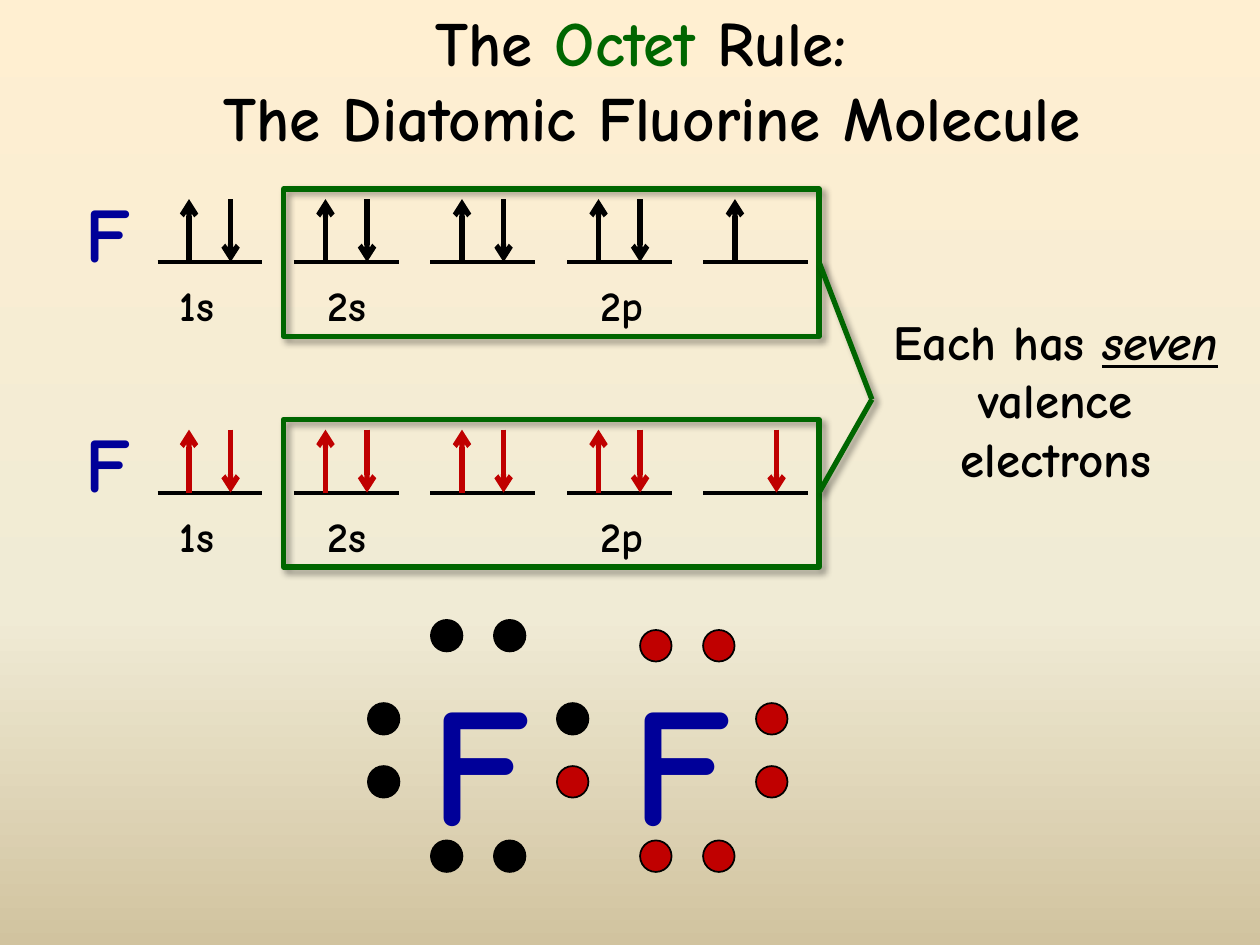
import lxml.etree
import pptx
import pptx.dml.color
import pptx.enum.shapes
import pptx.enum.text
import pptx.oxml
import pptx.oxml.ns
import pptx.util

Inches = pptx.util.Inches
SHAPES = pptx.enum.shapes.MSO_SHAPE
FONT = "Comic Neue"
COLORS = {
    "black": "000000", "red": "C00000", "green": "006600", "blue": "000099",
    "sky": "FFEFD1", "middle": "F0EBD5", "ground": "D1C39F",
}
ORBITAL_LEFT = 1.25
ORBITAL_PITCH = 13 / 12
ORBITAL_WIDTH = 0.83
SPIN_UP, SPIN_DOWN = 0.25, 0.58
BASELINE = 0.58
DOT_SIZE = 0.25
BLACK_DOTS = [(3.42, 4.92), (3.92, 4.92), (2.92, 5.58), (2.92, 6.08),
              (4.42, 5.58), (3.42, 6.67), (3.92, 6.67)]
RED_DOTS = [(5.08, 5), (5.58, 5), (6, 5.58), (6, 6.08),
            (4.42, 6.08), (5.08, 6.67), (5.58, 6.67)]


def rgb(name):
    """Return the named colour."""
    return pptx.dml.color.RGBColor.from_string(COLORS[name])


def set_background(slide):
    """Fill the slide with a vertical gradient of three stops."""
    fill = slide.background.fill
    fill.gradient()
    fill.gradient_angle = 270
    stops = slide.background._cSld.find(".//" + pptx.oxml.ns.qn("a:gsLst"))
    for stop in list(stops):
        stops.remove(stop)
    for position, name in ((0, "sky"), (65, "middle"), (100, "ground")):
        stop = lxml.etree.SubElement(
            stops, pptx.oxml.ns.qn("a:gs"), pos=str(position * 1000))
        lxml.etree.SubElement(
            stop, pptx.oxml.ns.qn("a:srgbClr"), val=COLORS[name])


def set_shadow(shape, visible):
    """Give a shape a soft shadow, or an empty effect list."""
    properties = shape._element.spPr
    effects = lxml.etree.SubElement(properties, pptx.oxml.ns.qn("a:effectLst"))
    if visible:
        effects.append(pptx.oxml.parse_xml(
            f'<a:outerShdw {pptx.oxml.ns.nsdecls("a")} blurRad="50800" '
            'dist="38100" dir="2700000" algn="tl" rotWithShape="0">'
            f'<a:srgbClr val="{COLORS["black"]}"><a:alpha val="40000"/>'
            '</a:srgbClr></a:outerShdw>'))


def add_text(slide, box, pieces, size, color="black", wrap=False, center=False):
    """Add bold text from (text, format) pieces; a newline breaks the line."""
    shape = slide.shapes.add_textbox(*(Inches(value) for value in box))
    frame = shape.text_frame
    frame.word_wrap = wrap
    paragraph = frame.paragraphs[0]
    if center:
        paragraph.alignment = pptx.enum.text.PP_ALIGN.CENTER
    for text, style in pieces:
        if text == "\n":
            paragraph.add_line_break()
            continue
        run = paragraph.add_run()
        run.text = text
        font = run.font
        font.name, font.size, font.bold = FONT, pptx.util.Pt(size), True
        font.color.rgb = rgb(style.get("color", color))
        if style.get("stress"):
            font.italic = font.underline = True
    return shape


def add_line(slide, start, end, color, width, arrow=False, shadow=False):
    """Add a straight line, with an arrowhead at its end if asked."""
    line = slide.shapes.add_connector(
        pptx.enum.shapes.MSO_CONNECTOR.STRAIGHT,
        *(Inches(value) for value in (*start, *end)))
    line.line.color.rgb = rgb(color)
    line.line.width = pptx.util.Pt(width)
    if arrow:
        lxml.etree.SubElement(
            line.line._get_or_add_ln(), pptx.oxml.ns.qn("a:tailEnd"), type="arrow")
    set_shadow(line, shadow)


def add_frame(slide, top):
    """Add the green frame around the valence orbitals."""
    frame = slide.shapes.add_shape(
        SHAPES.RECTANGLE, *(Inches(value) for value in (2.25, top, 4.25, 1.17)))
    frame.fill.background()
    frame.line.color.rgb = rgb("green")
    frame.line.width = pptx.util.Pt(3)
    set_shadow(frame, True)


def add_dot(slide, left, top, color):
    """Add one electron dot."""
    dot = slide.shapes.add_shape(
        SHAPES.OVAL, Inches(left), Inches(top), Inches(DOT_SIZE), Inches(DOT_SIZE))
    dot.shadow.inherit = False
    dot.fill.solid()
    dot.fill.fore_color.rgb = rgb(color)
    dot.line.color.rgb = rgb("black")
    dot.line.width = pptx.util.Pt(1)


def add_configuration(slide, top, color, last_spin):
    """Add one atom's orbitals, with a single electron in the last one."""
    base = top + BASELINE
    add_text(slide, (0.58, top - 0.08, 0.58, 0.84), [("F", {})], 44, "blue")
    for index in range(5):
        left = ORBITAL_LEFT + index * ORBITAL_PITCH
        add_line(slide, (left, base), (left + ORBITAL_WIDTH, base), "black", 2.25)
        spins = (SPIN_UP, SPIN_DOWN) if index < 4 else (last_spin,)
        for spin in spins:
            low, high = (left + spin, base), (left + spin, base - 0.5)
            start, end = (low, high) if spin == SPIN_UP else (high, low)
            add_line(slide, start, end, color, 3, arrow=True)
    for left, name in ((1.33, "1s"), (2.5, "2s"), (4.67, "2p")):
        add_text(slide, (left, top + 0.67, 0.58, 0.5), [(name, {})], 24)
    add_frame(slide, top)
    add_line(slide, (6.5, base), (6.92, 3.17), "green", 3, shadow=True)


def main():
    """Build the slide and save it."""
    presentation = pptx.Presentation()
    presentation.slide_width = Inches(10)
    presentation.slide_height = Inches(7.5)
    slide = presentation.slides.add_slide(presentation.slide_layouts[6])
    set_background(slide)

    title = add_text(
        slide, (0.17, 0, 9.83, 1.25),
        [("The ", {}), ("Octet ", {"color": "green"}), ("Rule:", {}),
         ("\n", {}), (" The Diatomic Fluorine Molecule", {})],
        36, wrap=True, center=True)
    title.text_frame.vertical_anchor = pptx.enum.text.MSO_ANCHOR.MIDDLE

    add_configuration(slide, 1.5, "black", SPIN_UP)
    add_configuration(slide, 3.33, "red", SPIN_DOWN)
    add_text(
        slide, (6.92, 2.42, 2.92, 1.51),
        [("Each has ", {}), ("seven", {"stress": True}), (" valence electrons", {})],
        28, wrap=True, center=True)

    for left in (3.33, 4.92):
        add_text(slide, (left, 5.17, 1.02, 1.72), [("F", {})], 96, "blue")
    for color, dots in (("red", RED_DOTS), ("black", BLACK_DOTS)):
        for left, top in dots:
            add_dot(slide, left, top, color)

    presentation.save("out.pptx")


main()
